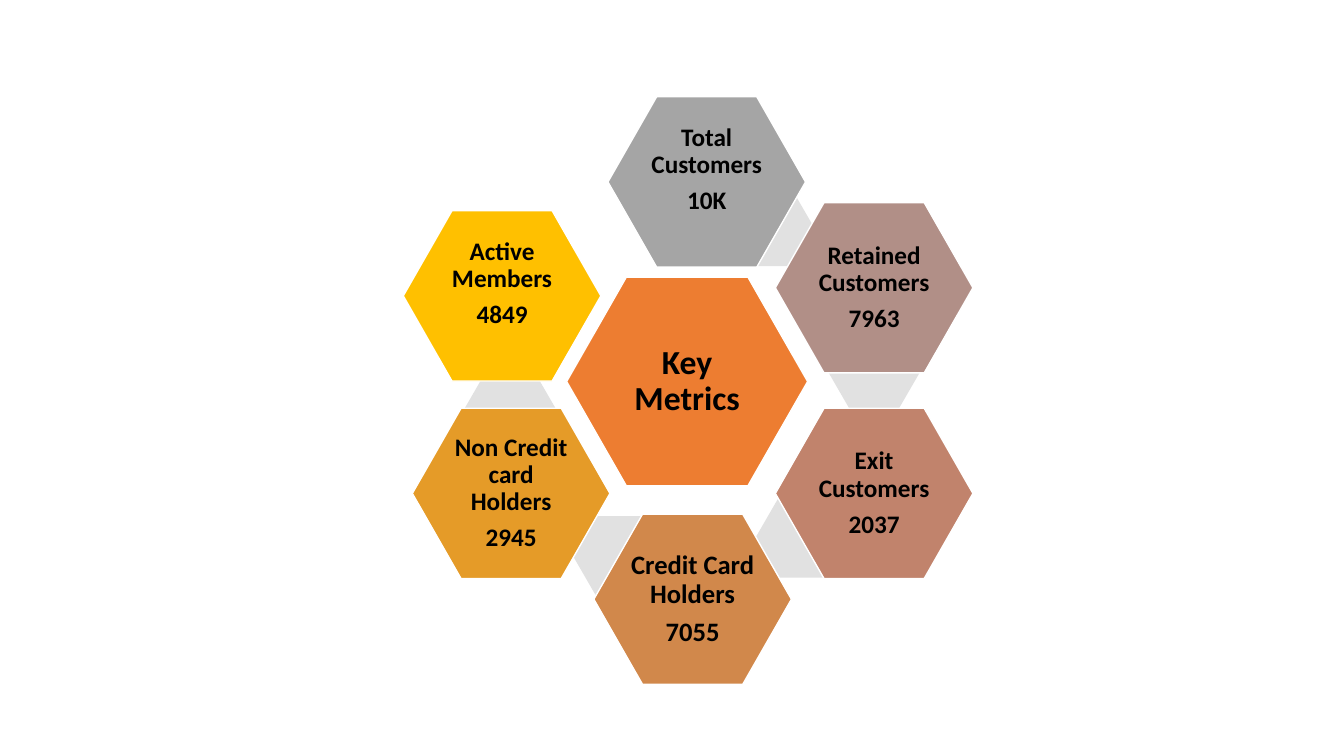
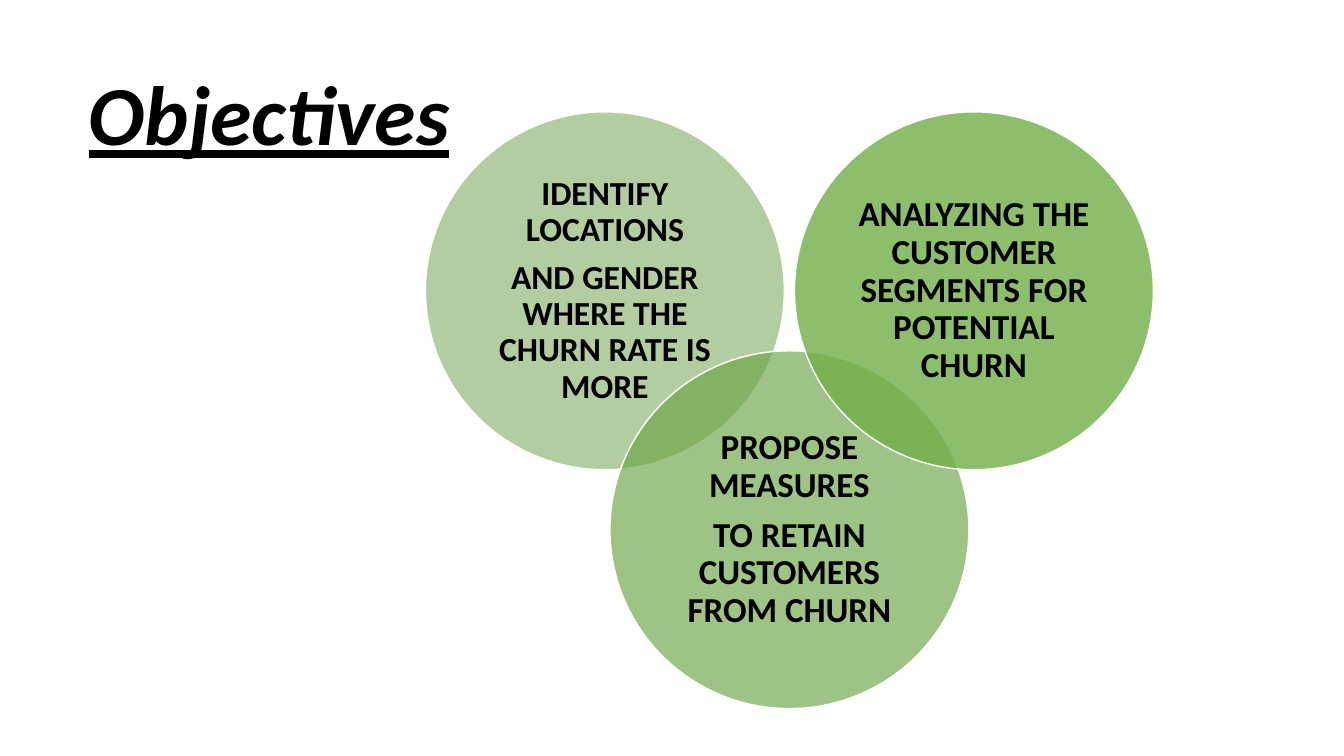
from lxml import etree
from pptx import Presentation, util as u
from pptx.dml.color import RGBColor
from pptx.enum import shapes, text
from pptx.oxml.ns import qn

FONT = "Calibri"
COLORS = {
    "text": "000000", "outline": "FFFFFF", "link": "E1E1E1", "center": "ED7D31",
    "total": "A5A5A5", "retained": "B18F87", "exit": "C1836C",
    "credit": "D1884B", "no_credit": "E59B28", "active": "FFC000",
    "locations": "669D40", "measures": "6BA544", "segments": "71AE48",
}

HEXAGON_SIZE = (1.96, 1.69)
LINK_SIZE = (0.9, 0.78)
CENTER = ("Key Metrics", "center", (5.62, 2.75), (2.39, 2.07))
METRICS = [
    ("Total Customers", "10K", "total", (6.03, 0.96), (7.17, 1.86), 18, True),
    ("Retained Customers", "7963", "retained", (7.69, 2.01), (8.22, 3.31), 18, False),
    ("Exit Customers", "2037", "exit", (7.69, 4.05), (7.49, 4.95), 18, False),
    ("Credit Card Holders", "7055", "credit", (5.89, 5.1), (5.68, 5.12), 19, False),
    ("Non Credit card Holders", "2945", "no_credit", (4.09, 4.05), (4.61, 3.66), 18, False),
    ("Active Members", "4849", "active", (4, 2.09), None, 18, True),
]

TITLE = "Objectives"
CIRCLE_SIZE = (3.56, 3.55)
CIRCLE_START = (4.22, 1.11)
CIRCLE_STEP = 1.83
CIRCLE_DROP = 2.37
OBJECTIVES = [
    (["IDENTIFY LOCATIONS", "AND GENDER WHERE THE CHURN RATE IS MORE"], "locations", 50, 24),
    (["PROPOSE MEASURES", "TO RETAIN CUSTOMERS FROM CHURN"], "measures", 65, 25),
    (["ANALYZING THE CUSTOMER SEGMENTS FOR POTENTIAL CHURN"], "segments", 80, 25),
]


def rgb(name):
    return RGBColor.from_string(COLORS[name])


def add_figure(slide, preset, color, position, size, outlined=True):
    figure = slide.shapes.add_shape(preset, *(u.Inches(n) for n in position + size))
    figure.shadow.inherit = False
    figure.fill.solid()
    figure.fill.fore_color.rgb = rgb(color)
    if outlined:
        figure.line.color.rgb = rgb("outline")
        figure.line.width = u.Pt(1)
    else:
        figure.line.fill.background()
    return figure


def add_hexagon(slide, color, position, size, adjustment=0.286, outlined=True):
    hexagon = add_figure(slide, shapes.MSO_SHAPE.HEXAGON, color, position, size, outlined)
    hexagon.adjustments[0] = adjustment
    return hexagon


def set_opacity(figure, percent):
    color = figure._element.spPr.find(qn("a:solidFill")).find(qn("a:srgbClr"))
    etree.SubElement(color, qn("a:alpha")).set("val", str(percent * 1000))


def style_font(paragraph, size):
    font = paragraph.font
    font.name = FONT
    font.size = u.Pt(size)
    font.bold = True
    font.color.rgb = rgb("text")


def write(figure, lines, size, inset, raised=False):
    frame = figure.text_frame
    frame.word_wrap = True
    frame.margin_left = frame.margin_right = u.Inches(inset)
    frame.margin_top = frame.margin_bottom = u.Inches(0 if raised else inset)
    frame.vertical_anchor = text.MSO_ANCHOR.TOP if raised else text.MSO_ANCHOR.MIDDLE
    for index, line in enumerate(lines):
        paragraph = frame.add_paragraph() if index else frame.paragraphs[0]
        paragraph.text = line
        paragraph.alignment = text.PP_ALIGN.CENTER
        paragraph.line_spacing = 0.9
        if index < len(lines) - 1:
            paragraph.space_after = u.Pt(round(size * 0.35, 1))
        style_font(paragraph, size)


def build_metrics(deck):
    slide = deck.slides.add_slide(deck.slide_layouts[6])
    label, color, position, size = CENTER
    write(add_hexagon(slide, color, position, size), [label], 24, 0.03)
    for label, value, color, position, link, size, raised in METRICS:
        if link:
            add_hexagon(slide, "link", link, LINK_SIZE, 0.289, outlined=False)
        hexagon = add_hexagon(slide, color, position, HEXAGON_SIZE)
        write(hexagon, [label, value], size, 0.03, raised)


def build_objectives(deck):
    slide = deck.slides.add_slide(deck.slide_layouts[5])
    title = slide.shapes.title
    title.left, title.top = u.Inches(0.78), u.Inches(0.56)
    title.width, title.height = u.Inches(4.29), u.Inches(1.11)
    frame = title.text_frame
    frame.text = TITLE
    frame.auto_size = text.MSO_AUTO_SIZE.NONE
    frame.vertical_anchor = text.MSO_ANCHOR.TOP
    paragraph = frame.paragraphs[0]
    paragraph.alignment = text.PP_ALIGN.LEFT
    style_font(paragraph, 60)
    paragraph.font.italic = True
    paragraph.font.underline = True

    left, top = CIRCLE_START
    for index, (lines, color, opacity, size) in enumerate(OBJECTIVES):
        position = (left + index * CIRCLE_STEP, top + index % 2 * CIRCLE_DROP)
        circle = add_figure(slide, shapes.MSO_SHAPE.OVAL, color, position, CIRCLE_SIZE)
        set_opacity(circle, opacity)
        write(circle, lines, size, 0.1)


def main():
    deck = Presentation()
    deck.slide_width, deck.slide_height = u.Inches(13.33), u.Inches(7.5)
    build_metrics(deck)
    build_objectives(deck)
    deck.save("out.pptx")


if __name__ == "__main__":
    main()
